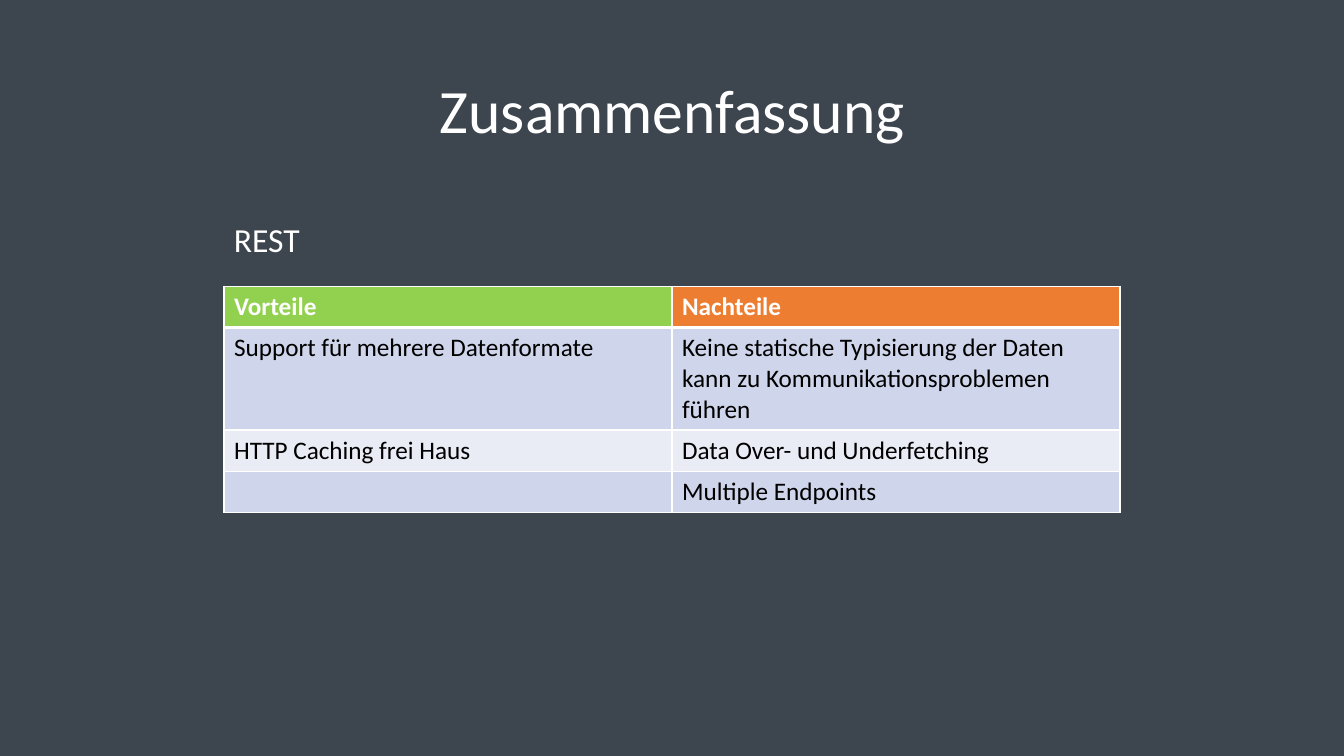
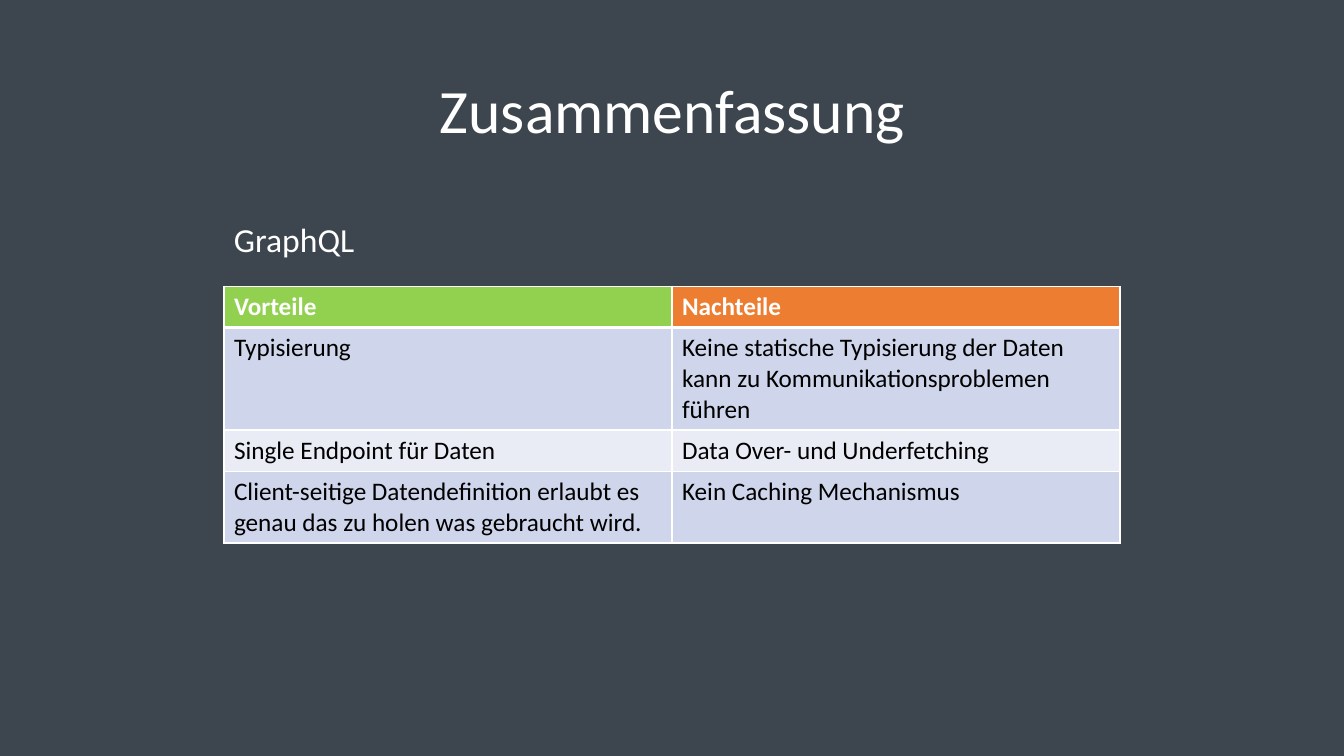
"""Build two summary slides that weigh the pros and cons of REST and GraphQL."""
import pptx
import pptx.dml.color
import pptx.enum.text
import pptx.oxml
import pptx.oxml.ns
import pptx.util

WHITE, BLACK, SLATE = "FFFFFF", "000000", "3D464F"
HEADER_FILLS = ["92D050", "ED7D31"]
BAND_FILLS = ["CFD5EA", "E9EBF5"]
HEADERS = ["Vorteile", "Nachteile"]
TYPING_PROBLEM = "Keine statische Typisierung der Daten kann zu Kommunikationsproblemen führen"
FETCHING_PROBLEM = "Data Over- und Underfetching"
SUMMARIES = [
    ("REST", 0.86, [
        ["Support für mehrere Datenformate", TYPING_PROBLEM],
        ["HTTP Caching frei Haus", FETCHING_PROBLEM],
        ["", "Multiple Endpoints"],
    ]),
    ("GraphQL", 1.41, [
        ["Typisierung", TYPING_PROBLEM],
        ["Single Endpoint für Daten", FETCHING_PROBLEM],
        ["Client-seitige Datendefinition erlaubt es genau das zu holen was gebraucht wird.",
         "Kein Caching Mechanismus"],
    ]),
]


def color(hex_code):
    return pptx.dml.color.RGBColor.from_string(hex_code)


def write(frame, text, hex_code, **formats):
    frame.text = text
    for span in frame.paragraphs[0].runs:
        span.font.color.rgb = color(hex_code)
        for name, value in {"name": "Calibri", **formats}.items():
            setattr(span.font, name, value)


deck = pptx.Presentation()
deck.slide_width = pptx.util.Inches(13.33)
deck.slide_height = pptx.util.Inches(7.5)
column = deck.slide_width // 12
row_height = pptx.util.Inches(0.41)

background = deck.slide_master.background.fill
background.solid()
background.fore_color.rgb = color(SLATE)

layout = deck.slide_layouts.get_by_name("Title Only")
title_place = {
    "left": pptx.util.Inches(0.92),
    "top": pptx.util.Inches(0.4),
    "width": pptx.util.Inches(11.5),
    "height": pptx.util.Inches(1.45),
}

for subject, label_width, points in SUMMARIES:
    page = deck.slides.add_slide(layout)

    title = page.shapes.title
    for name, value in title_place.items():
        setattr(title, name, value)
    write(title.text_frame, "Zusammenfassung", WHITE, size=pptx.util.Pt(44))
    title.text_frame.vertical_anchor = pptx.enum.text.MSO_ANCHOR.MIDDLE
    para = title.text_frame.paragraphs[0]
    para.alignment = pptx.enum.text.PP_ALIGN.CENTER
    para.line_spacing = 0.9

    rows = [HEADERS] + points
    table = page.shapes.add_table(
        len(rows), len(HEADERS), 2 * column, pptx.util.Inches(2.84),
        8 * column, len(rows) * row_height).table
    for row_index, texts in enumerate(rows):
        is_header = row_index == 0
        for column_index, text in enumerate(texts):
            cell = table.cell(row_index, column_index)
            write(cell.text_frame, text, WHITE if is_header else BLACK,
                  size=pptx.util.Pt(18), bold=is_header)
            properties = cell._tc.get_or_add_tcPr()
            for side in "LRTB":
                thick = (is_header and side == "B") or (row_index == 1 and side == "T")
                properties.append(pptx.oxml.parse_xml(
                    f'<a:ln{side} {pptx.oxml.ns.nsdecls("a")} w="{pptx.util.Pt(3 if thick else 1)}">'
                    f'<a:solidFill><a:srgbClr val="{WHITE}"/></a:solidFill></a:ln{side}>'))
            cell.fill.solid()
            cell.fill.fore_color.rgb = color(
                HEADER_FILLS[column_index] if is_header else BAND_FILLS[(row_index - 1) % 2])

    label = page.shapes.add_textbox(
        2 * column, pptx.util.Inches(2.12), pptx.util.Inches(label_width), pptx.util.Inches(0.5))
    label.text_frame.word_wrap = False
    label.text_frame.auto_size = pptx.enum.text.MSO_AUTO_SIZE.SHAPE_TO_FIT_TEXT
    write(label.text_frame, subject, WHITE, size=pptx.util.Pt(24))

deck.save("out.pptx")
